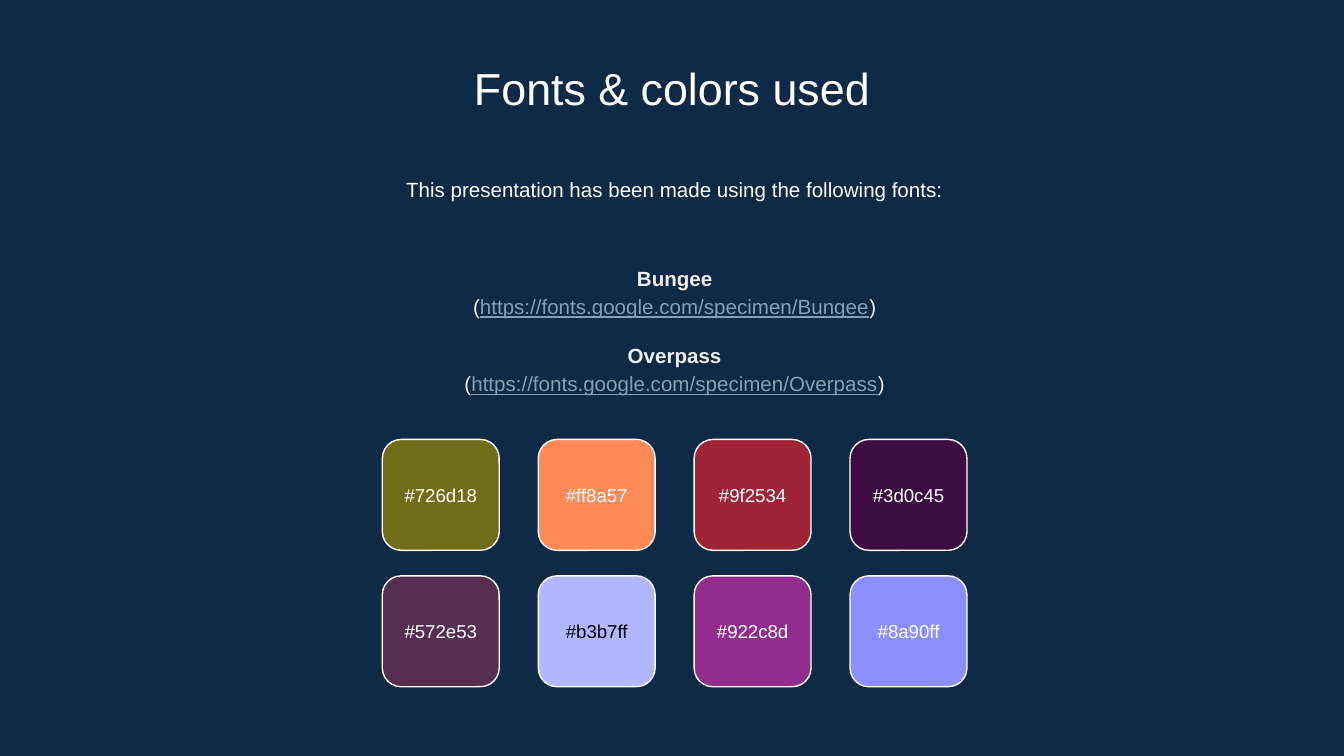
import pptx
import pptx.util
import pptx.dml.color
import pptx.enum.shapes
import pptx.enum.text

PX = 4572
FONT = "Arial"
COLORS = {
    "background": "0E2A47",
    "white": "FFFFFF",
    "black": "000000",
    "text": "EEEEEE",
    "link": "869FB2",
}
FONTS_USED = [
    ("Bungee", "https://fonts.google.com/specimen/Bungee"),
    ("Overpass", "https://fonts.google.com/specimen/Overpass"),
]
SWATCHES = [
    ["726d18", "ff8a57", "9f2534", "3d0c45"],
    ["572e53", "b3b7ff", "922c8d", "8a90ff"],
]
DARK_LABELS = {"b3b7ff"}
TOP = pptx.enum.text.MSO_ANCHOR.TOP
MIDDLE = pptx.enum.text.MSO_ANCHOR.MIDDLE


def rgb(value):
    return pptx.dml.color.RGBColor.from_string(value.upper())


def emu(*lengths):
    return [pptx.util.Emu(n * PX) for n in lengths]


def format_frame(tf, anchor):
    tf.word_wrap = True
    tf.auto_size = pptx.enum.text.MSO_AUTO_SIZE.NONE
    tf.vertical_anchor = anchor
    tf.margin_left = tf.margin_right = tf.margin_top = tf.margin_bottom = emu(20)[0]


def format_paragraph(p, size, color, bold=False, spacing=1.0):
    p.alignment = pptx.enum.text.PP_ALIGN.CENTER
    p.line_spacing = spacing
    p.font.name = FONT
    p.font.size = pptx.util.Pt(size)
    p.font.bold = bold
    p.font.color.rgb = rgb(color)


def add_text_frame(slide, box, anchor):
    tf = slide.shapes.add_textbox(*emu(*box)).text_frame
    format_frame(tf, anchor)
    return tf


def add_title(slide, box, text):
    title = slide.shapes.title
    title.left, title.top, title.width, title.height = emu(*box)
    format_frame(title.text_frame, TOP)
    p = title.text_frame.paragraphs[0]
    p.text = text
    format_paragraph(p, 24, COLORS["white"])


def add_intro(slide, box, text):
    p = add_text_frame(slide, box, TOP).paragraphs[0]
    p.text = text
    format_paragraph(p, 11, COLORS["white"], spacing=1.15)


def add_font_list(slide, box, fonts):
    tf = add_text_frame(slide, box, MIDDLE)
    for i, (name, url) in enumerate(fonts):
        p = tf.add_paragraph() if i else tf.paragraphs[0]
        p.text = name
        format_paragraph(p, 11, COLORS["text"], bold=True, spacing=1.15)
        if i:
            p.space_before = pptx.util.Pt(11)
        p = tf.add_paragraph()
        format_paragraph(p, 11, COLORS["text"], spacing=1.15)
        for text in ("(", url, ")"):
            r = p.add_run()
            r.text = text
            if text == url:
                r.font.underline = True
                r.font.color.rgb = rgb(COLORS["link"])


def add_swatch(slide, box, color):
    x, y, w, h = box
    sp = slide.shapes.add_shape(
        pptx.enum.shapes.MSO_SHAPE.ROUNDED_RECTANGLE, *emu(*box))
    sp.adjustments[0] = 0.17
    sp.shadow.inherit = False
    sp.fill.solid()
    sp.fill.fore_color.rgb = rgb(color)
    sp.line.color.rgb = rgb(COLORS["white"])
    sp.line.width = pptx.util.Pt(0.75)

    label_h = 96
    p = add_text_frame(slide, (x, y + (h - label_h) // 2, w, label_h), MIDDLE).paragraphs[0]
    p.text = "#" + color
    format_paragraph(p, 10, COLORS["black" if color in DARK_LABELS else "white"])


def add_palette(slide, box, rows):
    x, y, w, h = box
    swatch_w, swatch_h = 174, 165
    step_x = (w - swatch_w) // (len(rows[0]) - 1)
    step_y = (h - swatch_h) // (len(rows) - 1)
    for i, row in enumerate(rows):
        for j, color in enumerate(row):
            add_swatch(slide, (x + j * step_x, y + i * step_y, swatch_w, swatch_h), color)


def main():
    prs = pptx.Presentation()
    prs.slide_width, prs.slide_height = emu(2000, 1125)
    slide = prs.slides.add_slide(prs.slide_layouts[5])
    slide.background.fill.solid()
    slide.background.fill.fore_color.rgb = rgb(COLORS["background"])
    add_title(slide, (229, 70, 1542, 106), "Fonts & colors used")
    add_intro(slide, (233, 238, 1542, 96),
              "This presentation has been made using the following fonts:")
    add_font_list(slide, (233, 353, 1542, 274), FONTS_USED)
    add_palette(slide, (569, 654, 870, 368), SWATCHES)
    prs.save("out.pptx")


if __name__ == "__main__":
    main()
